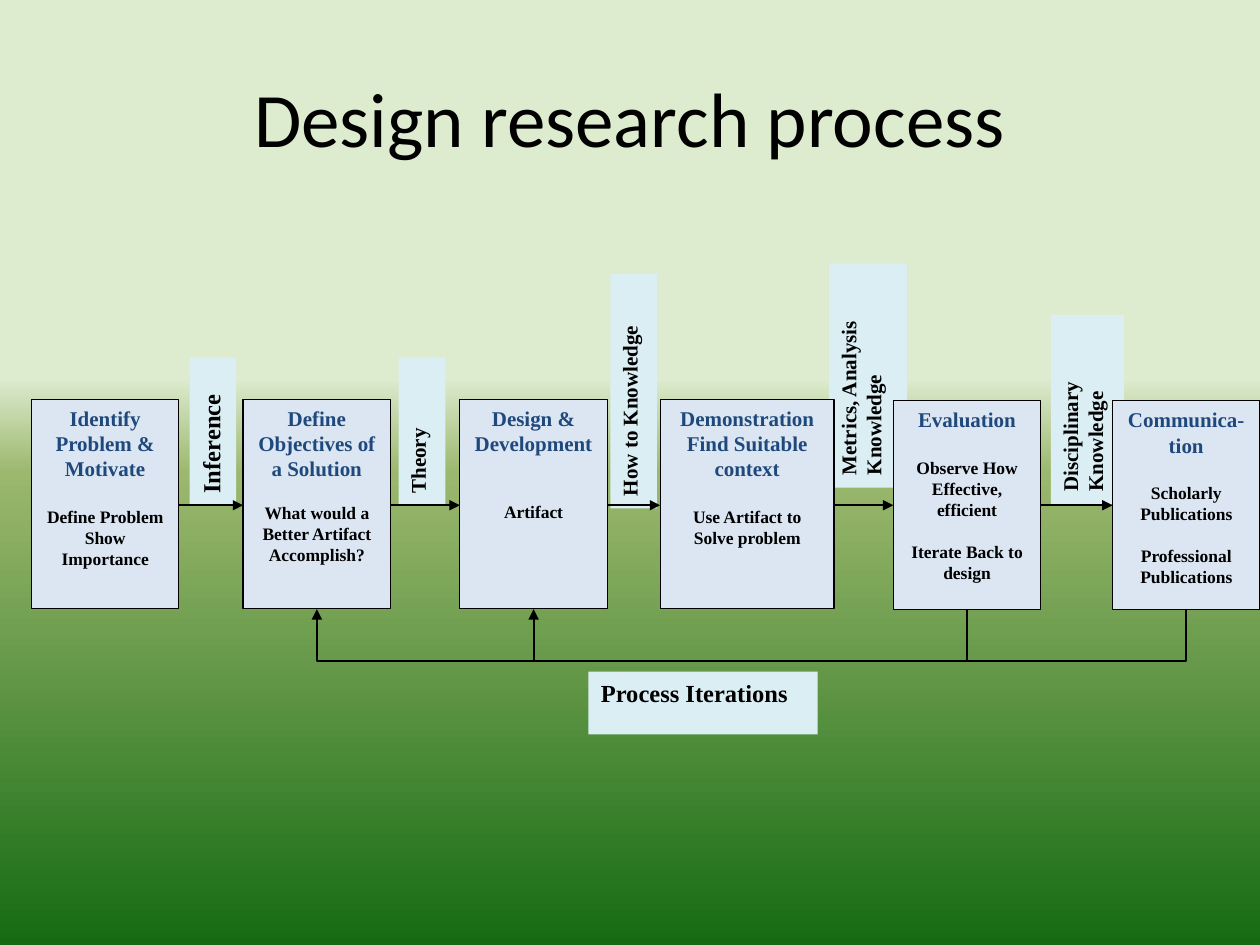
from itertools import pairwise

from lxml import etree
from pptx import Presentation
from pptx import util as u
from pptx.dml import color
from pptx.enum import shapes, text
from pptx.oxml import ns

SCALE = 9144
SERIF = "Times New Roman"
BLACK, NAVY, STAGE_FILL, LABEL_FILL = "000000", "1F497D", "DCE6F2", "DBEEF4"
GRADIENT = [(40, "DDEBCF"), (50, "9CB86E"), (100, "156B13")]
STAGE_HEIGHT = 166
ARROW_TOP = 401
LOOP_DEPTH = 41

# Each stage: left, top, width, then (wording, points, colour, space before).
STAGES = [
    (25, 317, 117, [("Identify Problem & Motivate", 12, NAVY, 0),
                    ("Define Problem", 10, BLACK, 14),
                    ("Show Importance", 10, BLACK, 0)]),
    (193, 317, 117, [("Define Objectives of a Solution", 12, NAVY, 0),
                     ("What would a Better Artifact Accomplish?", 10, BLACK, 12)]),
    (365, 317, 117, [("Design & Development", 12, NAVY, 0),
                     ("Artifact", 10, BLACK, 26)]),
    (524, 317, 138, [("Demonstration", 12, NAVY, 0),
                     ("Find Suitable context", 12, NAVY, 0),
                     ("Use Artifact to Solve problem", 10, BLACK, 14)]),
    (709, 318, 117, [("Evaluation", 12, NAVY, 0),
                     ("Observe How Effective, efficient", 10, BLACK, 14),
                     ("Iterate Back to design", 10, BLACK, 12)]),
    (883, 318, 117, [("Communica-tion", 12, NAVY, 0),
                     ("Scholarly Publications", 10, BLACK, 14),
                     ("Professional", 10, BLACK, 12),
                     ("Publications", 10, BLACK, 0)]),
]
LABELS = [
    (150, 284, 37, 118, ["Inference"], 14),
    (316, 284, 37, 118, ["Theory"], 12),
    (484, 217, 37, 186, ["How to Knowledge"], 12),
    (658, 209, 62, 178, ["Metrics, Analysis", "Knowledge"], 12),
    (834, 250, 58, 150, ["Disciplinary", "Knowledge"], 12),
]


def px(length):
    """Turn px into EMU."""
    return u.Emu(length * SCALE)


def rgb(value):
    """Turn a hex string into a colour."""
    return color.RGBColor.from_string(value)


def write(shape, lines, align, font=SERIF, bold=True):
    """Fill a shape with lines of (wording, points, colour, space before)."""
    frame = shape.text_frame
    frame.word_wrap = True
    frame.text = "\n".join(line[0] for line in lines)
    for paragraph, (_, size, ink, gap) in zip(frame.paragraphs, lines):
        paragraph.alignment = align
        paragraph.space_before = u.Pt(gap)
        for run in paragraph.runs:
            run.font.name = font
            run.font.size = u.Pt(size)
            run.font.bold = bold
            run.font.color.rgb = rgb(ink)


def add_box(slide, left, top, width, height, fill, line=None):
    """Add a flat rectangle with text from its top."""
    shape = slide.shapes.add_shape(
        shapes.MSO_SHAPE.RECTANGLE, px(left), px(top), px(width), px(height))
    shape.shadow.inherit = False
    shape.fill.solid()
    shape.fill.fore_color.rgb = rgb(fill)
    if line:
        shape.line.color.rgb = rgb(line)
        shape.line.width = u.Pt(0.75)
    else:
        shape.line.fill.background()
    shape.text_frame.vertical_anchor = text.MSO_ANCHOR.TOP
    return shape


def add_label(slide, left, top, width, height, lines, size, upright=False):
    """Add a knowledge label, read upwards unless upright."""
    if not upright:
        left, top = left + (width - height) / 2, top + (height - width) / 2
        width, height = height, width
    shape = add_box(slide, round(left), round(top), width, height, LABEL_FILL)
    shape.rotation = 0 if upright else 270
    write(shape, [(line, size, BLACK, 0) for line in lines], text.PP_ALIGN.LEFT)


def add_stage(slide, left, top, width, lines):
    """Add one stage of the process."""
    shape = add_box(slide, left, top, width, STAGE_HEIGHT, STAGE_FILL, BLACK)
    write(shape, lines, text.PP_ALIGN.CENTER)


def add_arrow(slide, kind, start, end):
    """Add a connector with an arrowhead at its end."""
    arrow = slide.shapes.add_connector(kind, *map(px, start + end))
    arrow.line.color.rgb = rgb(BLACK)
    arrow.line.width = u.Pt(1.25)
    etree.SubElement(arrow.line._get_or_add_ln(), ns.qn("a:tailEnd"), type="triangle")
    etree.SubElement(arrow._element.spPr, ns.qn("a:effectLst"))
    return arrow


def add_loop(slide, source, target):
    """Add an elbow arrow below the stages, from source back to target."""
    start, end = (stage[0] + stage[2] // 2 for stage in (source, target))
    bottom = source[1] + STAGE_HEIGHT
    middle, half = (start + end) // 2, (start - end) // 2
    arrow = add_arrow(slide, shapes.MSO_CONNECTOR.ELBOW,
                      (middle, bottom + half), (middle + 1, bottom - half))
    properties = arrow._element.spPr
    properties.find(ns.qn("a:xfrm")).set("rot", "16200000")
    adjustments = properties.find(".//" + ns.qn("a:avLst"))
    etree.SubElement(adjustments, ns.qn("a:gd"), name="adj1",
                     fmla=f"val {-LOOP_DEPTH * 100000}")


def add_background(slide):
    """Paint the vertical green gradient."""
    fill = slide.background.fill
    fill.gradient()
    fill.gradient_angle = 270
    stops = slide._element.find(".//" + ns.qn("a:gsLst"))
    for stop in list(stops):
        stops.remove(stop)
    for position, value in GRADIENT:
        stop = etree.SubElement(stops, ns.qn("a:gs"), pos=str(position * 1000))
        etree.SubElement(stop, ns.qn("a:srgbClr"), val=value)


def add_title(slide, left, top, width, height):
    """Add the centred title."""
    shape = slide.shapes.add_textbox(px(left), px(top), px(width), px(height))
    shape.text_frame.vertical_anchor = text.MSO_ANCHOR.MIDDLE
    write(shape, [("Design research process", 44, BLACK, 0)],
          text.PP_ALIGN.CENTER, "Calibri", False)


def add_process(slide):
    """Add labels, stages and the arrows between them."""
    for label in LABELS:
        add_label(slide, *label)
    add_label(slide, 467, 533, 182, 50, ["Process Iterations"], 14, upright=True)
    for stage in STAGES:
        add_stage(slide, *stage)
    for before, after in pairwise(STAGES):
        add_arrow(slide, shapes.MSO_CONNECTOR.STRAIGHT,
                  (before[0] + before[2], ARROW_TOP), (after[0], ARROW_TOP))
    add_loop(slide, STAGES[4], STAGES[2])
    add_loop(slide, STAGES[5], STAGES[1])


def main():
    """Build and save the slide."""
    presentation = Presentation()
    presentation.slide_width, presentation.slide_height = px(1000), px(750)
    slide = presentation.slides.add_slide(presentation.slide_layouts[6])
    add_background(slide)
    add_title(slide, 50, 30, 900, 125)
    add_process(slide)
    presentation.save("out.pptx")


if __name__ == "__main__":
    main()
